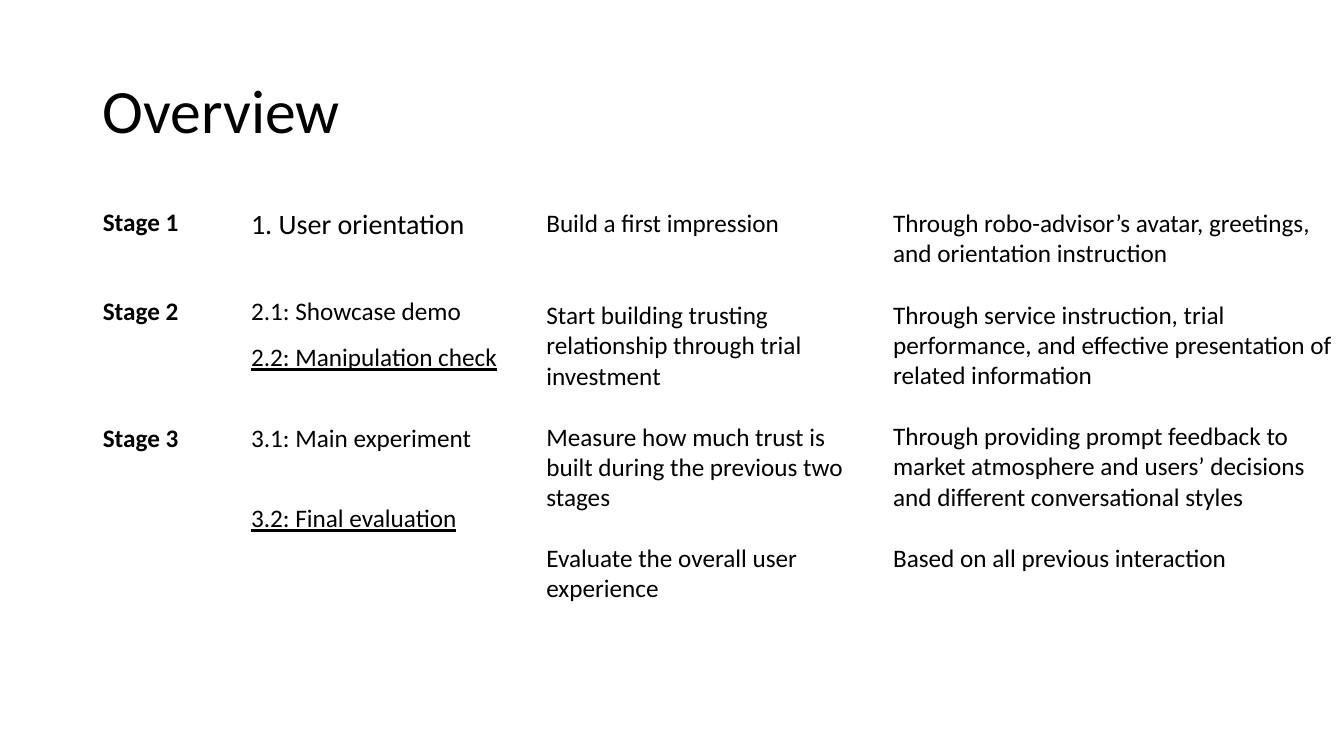
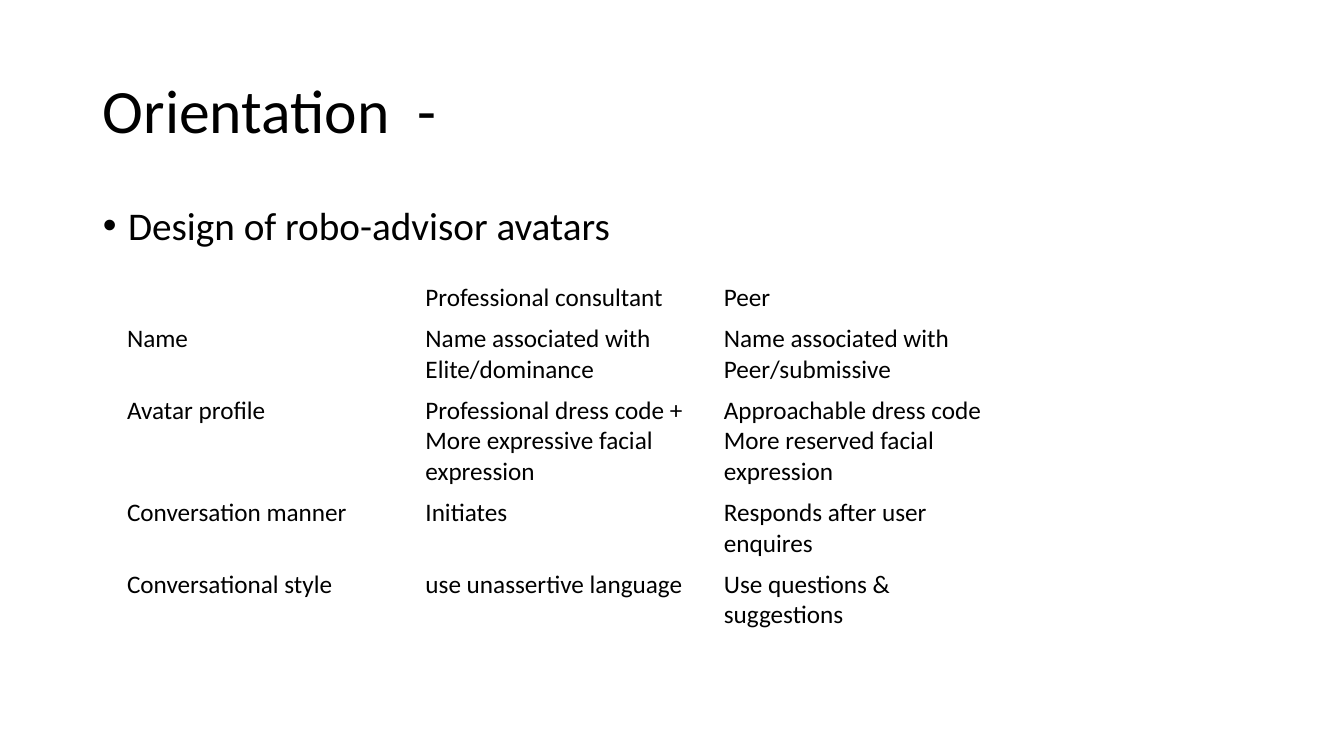
from pptx import Presentation
from pptx.dml.color import RGBColor
from pptx.enum.text import MSO_ANCHOR as Anchor, MSO_AUTO_SIZE as AutoSize, PP_ALIGN as Align
from pptx.util import Inches, Pt

COLORS = {"text": "000000"}
FONT = "Calibri"
TITLE_ONLY, TITLE_AND_BODY = 5, 1


def write(frame, text, size=18, bold=False, underline=False, line=1.0, before=0, first=True):
    para = frame.paragraphs[0] if first else frame.add_paragraph()
    para.alignment = Align.LEFT
    para.line_spacing = line
    para.space_before = Pt(before)
    span = para.add_run()
    span.text = text
    span.font.name = FONT
    span.font.size = Pt(size)
    span.font.bold = bold
    span.font.underline = underline
    span.font.color.rgb = RGBColor.from_string(COLORS["text"])
    return para


class Deck:
    """Hold the shared style and the current slide."""

    def __init__(self):
        self.deck = Presentation()
        self.deck.slide_width = Inches(13.33)
        self.deck.slide_height = Inches(7.5)
        self.page = None

    def place(self, shape, left, top, width, height):
        shape.left, shape.top = Inches(left), Inches(top)
        shape.width, shape.height = Inches(width), Inches(height)
        shape.text_frame.word_wrap = True
        shape.text_frame.auto_size = AutoSize.NONE
        return shape.text_frame

    def add_page(self, title, layout):
        self.page = self.deck.slides.add_slide(self.deck.slide_layouts[layout])
        frame = self.place(self.page.shapes.title, 0.92, 0.4, 11.5, 1.45)
        frame.vertical_anchor = Anchor.MIDDLE
        write(frame, title, size=44, line=0.9)

    def add_bullets(self, items):
        frame = self.place(self.page.placeholders[1], 0.92, 2, 11.5, 4.76)
        for index, item in enumerate(items):
            para = write(frame, item, size=28, line=0.9, before=10, first=index == 0)
            properties = para._p.get_or_add_pPr()
            properties.set("marL", str(Inches(0.25)))
            properties.set("indent", str(Inches(-0.25)))

    def add_notes_column(self, left, width, height, notes):
        box = self.page.shapes.add_textbox(0, 0, 0, 0)
        frame = self.place(box, left, 2.01, width, height)
        for index, (text, gap) in enumerate(notes):
            write(frame, text, before=gap, first=index == 0)

    def add_grid(self, left, top, widths, heights, rows, formats=None):
        formats = formats or {}
        frame = self.page.shapes.add_table(
            len(rows), len(widths), Inches(left), Inches(top),
            Inches(sum(widths)), Inches(sum(heights)))
        table = frame.table
        table.first_row = table.horz_banding = False
        for column, width in zip(table.columns, widths):
            column.width = Inches(width)
        for line, height in zip(table.rows, heights):
            line.height = Inches(height)
        for row, texts in enumerate(rows):
            for column, text in enumerate(texts):
                cell = table.cell(row, column)
                cell.fill.background()
                for index, part in enumerate(text.split("\n") if text else []):
                    write(cell.text_frame, part, first=index == 0,
                          **formats.get((row, column), {}))

    def save(self):
        self.deck.save("out.pptx")


def build_overview(deck):
    deck.add_page("Overview", TITLE_ONLY)
    stages = [
        ("Stage 1", "1. User orientation"),
        ("Stage 2", "2.1: Showcase demo"),
        ("", "2.2: Manipulation check"),
        ("Stage 3", "3.1: Main experiment"),
        ("", "3.2: Final evaluation"),
    ]
    formats = {(row, 0): {"bold": True} for row in range(len(stages))}
    formats[0, 1] = {"size": 20}
    formats[2, 1] = formats[4, 1] = {"underline": True}
    deck.add_grid(0.92, 2.01, [1.47, 3.5], [0.88, 0.46, 0.8, 0.8, 0.8], stages, formats)
    deck.add_notes_column(5.32, 3.35, 4.04, [
        ("Build a first impression", 0),
        ("Start building trusting relationship through trial investment", 44),
        ("Measure how much trust is built during the previous two stages", 22),
        ("Evaluate the overall user experience", 22),
    ])
    deck.add_notes_column(8.76, 4.57, 4.95, [
        ("Through robo-advisor’s avatar, greetings, and orientation instruction", 0),
        ("Through service instruction, trial performance, and effective presentation "
         "of related information", 22),
        ("Through providing prompt feedback to market atmosphere and users’ decisions "
         "and different conversational styles", 22),
        ("Based on all previous interaction", 22),
    ])


def build_orientation(deck):
    deck.add_page("Orientation  -", TITLE_AND_BODY)
    deck.add_bullets(["Design of robo-advisor avatars"])
    deck.add_grid(1.16, 2.75, [2.96] * 3, [0.41] * 5, [
        ("", "Professional consultant", "Peer"),
        ("Name", "Name associated with Elite/dominance", "Name associated with Peer/submissive"),
        ("Avatar profile", "Professional dress code + More expressive facial expression",
         "Approachable dress code\nMore reserved facial expression"),
        ("Conversation manner", "Initiates", "Responds after user enquires"),
        ("Conversational style", "use unassertive language", "Use questions & suggestions"),
    ])


def main():
    deck = Deck()
    build_overview(deck)
    build_orientation(deck)
    deck.save()


if __name__ == "__main__":
    main()
